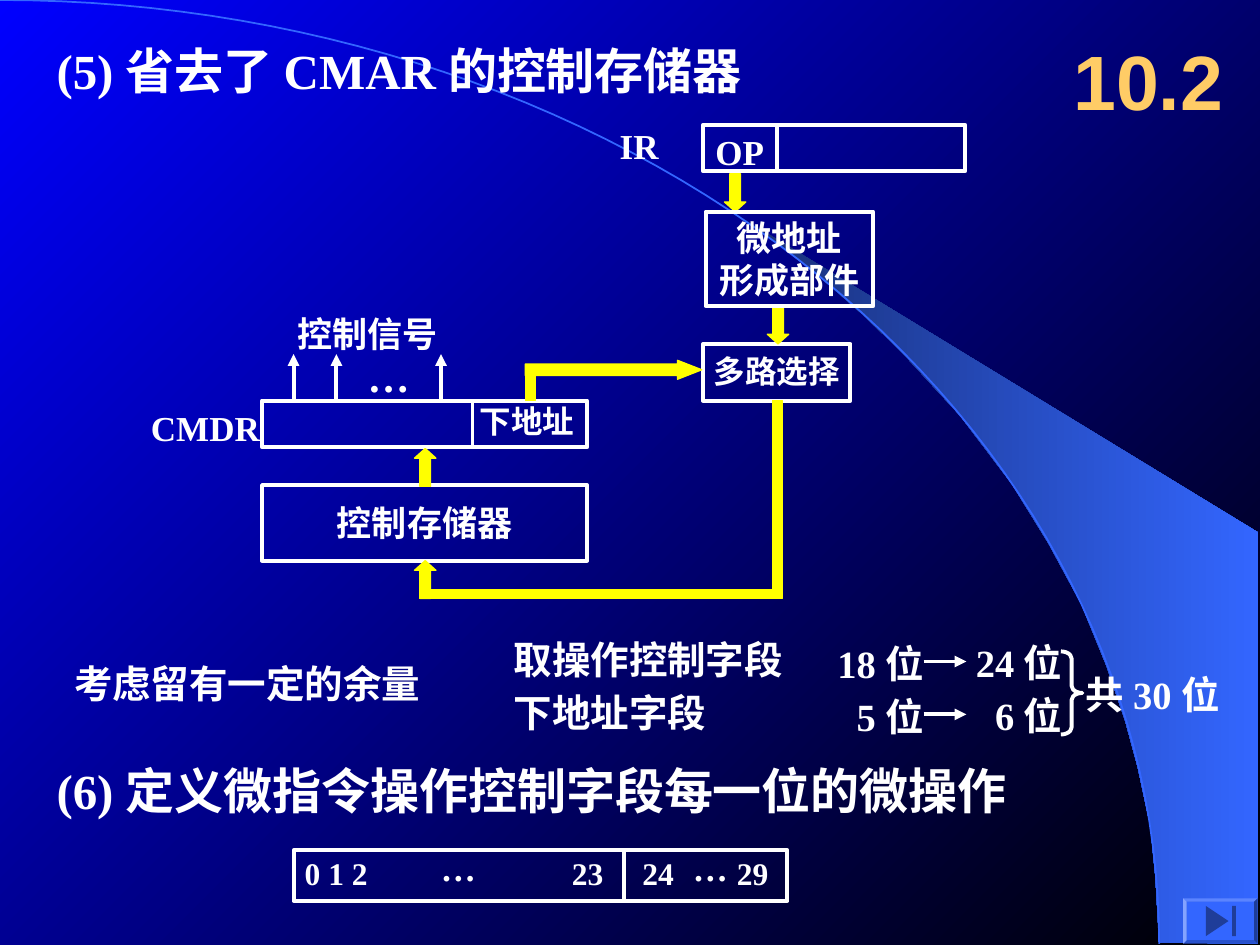
import dataclasses
import math

import lxml.etree
import pptx
import pptx.dml.color
import pptx.enum.shapes
import pptx.enum.text
import pptx.oxml.ns
import pptx.util

Inches = pptx.util.Inches
Pt = pptx.util.Pt
SHAPE = pptx.enum.shapes.MSO_SHAPE
ALIGN = pptx.enum.text.PP_ALIGN
ANCHOR = pptx.enum.text.MSO_ANCHOR
WHITE, YELLOW, BLUE, ORANGE = "FFFFFF", "FFFF00", "3366FF", "FFCC66"


def rgb(hex_color):
    """Turn a hex string into a colour."""
    return pptx.dml.color.RGBColor.from_string(hex_color)


def shade(fill, start, end, angle):
    """Give a fill a two-colour linear gradient."""
    fill.gradient()
    fill.gradient_angle = angle
    for stop, color in zip(fill.gradient_stops, (start, end)):
        stop.color.rgb = rgb(color)


def write(frame, lines, size, align, color, font, anchor, inset):
    """Write one run per line into a text frame."""
    frame.word_wrap = False
    frame.vertical_anchor = anchor
    frame.margin_left = frame.margin_right = Inches(0.1)
    frame.margin_top, frame.margin_bottom = Inches(inset), Inches(0.05)
    for index, line in enumerate(lines.split("\n")):
        paragraph = frame.add_paragraph() if index else frame.paragraphs[0]
        paragraph.alignment = align
        run = paragraph.add_run()
        run.text = line
        run.font.size, run.font.bold, run.font.name = Pt(size), True, font
        run.font.color.rgb = rgb(color)


@dataclasses.dataclass
class Region:
    """A part of the slide whose contents are placed from its top left corner."""

    shapes: object
    left: float
    top: float

    def place(self, x, y):
        """Return the slide position of a point in the region."""
        return Inches(self.left + x), Inches(self.top + y)

    def label(self, x, y, width, height, words, size, align=ALIGN.LEFT,
              color=WHITE, font="Times New Roman", anchor=ANCHOR.TOP, inset=0.05):
        """Add a text box."""
        box = self.shapes.add_textbox(*self.place(x, y), Inches(width), Inches(height))
        write(box.text_frame, words, size, align, color, font, anchor, inset)

    def shape(self, kind, x, y, width, height, fill=None, line=None,
              weight=2.25, adjust=()):
        """Add a preset shape."""
        shape = self.shapes.add_shape(kind, *self.place(x, y), Inches(width), Inches(height))
        shape.shadow.inherit = False
        for index, value in enumerate(adjust):
            shape.adjustments[index] = value
        if fill:
            shape.fill.solid()
            shape.fill.fore_color.rgb = rgb(fill)
        else:
            shape.fill.background()
        if line:
            shape.line.color.rgb = rgb(line)
            shape.line.width = Pt(weight)
        else:
            shape.line.fill.background()
        return shape

    def frame(self, x, y, width, height, words="", size=20, inset=0.05):
        """Add a white outlined box with centred words."""
        box = self.shape(SHAPE.RECTANGLE, x, y, width, height, line=WHITE)
        if words:
            write(box.text_frame, words, size, ALIGN.CENTER, WHITE,
                  "Times New Roman", ANCHOR.MIDDLE, inset)

    def flow(self, kind, x, y, width, height, adjust=()):
        """Add a yellow piece of the data path."""
        self.shape(kind, x, y, width, height, YELLOW, YELLOW, 0.75, adjust)

    def line(self, x1, y1, x2, y2, arrow=False):
        """Add a white line, with an arrowhead at its end if asked."""
        line = self.shapes.add_connector(
            pptx.enum.shapes.MSO_CONNECTOR.STRAIGHT, *self.place(x1, y1), *self.place(x2, y2))
        line.line.color.rgb, line.line.width = rgb(WHITE), Pt(2.25)
        properties = line._element.spPr
        if arrow:
            lxml.etree.SubElement(line.line._get_or_add_ln(),
                                  pptx.oxml.ns.qn("a:tailEnd"), type="triangle")
        lxml.etree.SubElement(properties, pptx.oxml.ns.qn("a:effectLst"))

    def outline(self, points, close):
        """Add a freeform through the points."""
        corners = [self.place(x, y) for x, y in points]
        builder = self.shapes.build_freeform(*corners[0])
        builder.add_line_segments(corners[1:], close=close)
        outline = builder.convert_to_shape()
        outline.shadow.inherit = False
        return outline


def add_backdrop(slide, left, top, width, height):
    """Draw the gradient, the light beam and the arc."""
    shade(slide.background.fill, "0000FF", "000000", 315)
    region = Region(slide.shapes, left, top)
    beam = region.outline(
        [(9.2, 7.48), (9.99, 7.49), (9.99, 4.23), (5.89, 1.73), (6.24, 1.99),
         (6.53, 2.22), (6.85, 2.5), (7.16, 2.8), (7.62, 3.3), (8.03, 3.84),
         (8.32, 4.31), (8.58, 4.79), (8.78, 5.28), (8.93, 5.72), (9.03, 6.09),
         (9.13, 6.56), (9.17, 6.96)], True)
    shade(beam.fill, "182F76", BLUE, 0)
    beam.line.fill.background()
    angles = [math.pi / 2 * step / 60 for step in range(61)]
    arc = region.outline([(width * math.sin(a), height * (1 - math.cos(a)))
                          for a in angles], False)
    arc.fill.background()
    arc.line.color.rgb, arc.line.width = rgb(BLUE), Pt(1)


def add_headings(slide, left, top):
    """Write the section number and the two headings."""
    region = Region(slide.shapes, left, top)
    region.label(0, 0.1, 6.65, 0.57, "(5) 省去了 CMAR 的控制存储器", 28)
    region.label(0, 5.82, 8.48, 0.57, "(6) 定义微指令操作控制字段每一位的微操作", 28)
    region.label(8.07, 0, 1.58, 0.92, "10.2", 44, color=ORANGE, font="Arial",
                 anchor=ANCHOR.MIDDLE)


def add_control_store(slide, left, top):
    """Draw the control store with its registers and data path."""
    region = Region(slide.shapes, left, top)
    region.label(3.72, 0, 0.6, 0.44, "IR", 20)
    region.frame(4.48, 0.05, 2.08, 0.37)
    region.label(4.48, 0.05, 0.7, 0.44, "OP", 20)
    region.line(5.07, 0.05, 5.07, 0.42)
    region.frame(4.48, 1.79, 1.17, 0.45, "多路选择", 18, 0.02)
    region.label(0, 2.24, 1.2, 0.44, "CMDR", 20)
    region.label(2.61, 2.23, 1.05, 0.37, "下地址", 18, inset=0.02)
    region.frame(0.98, 2.24, 2.58, 0.37)
    region.line(2.65, 2.24, 2.65, 2.62)
    region.frame(0.98, 2.91, 2.58, 0.6, "控制存储器")
    region.label(1.16, 1.49, 1.4, 0.44, "控制信号", 20)
    for x in (1.23, 1.57, 2.4):
        region.line(x, 2.24, x, 1.87, arrow=True)
    region.label(1.72, 1.79, 0.6, 0.5, "…", 24)
    for kind, x, y in ((SHAPE.UP_ARROW, 2.19, 2.62), (SHAPE.UP_ARROW, 2.19, 3.51),
                       (SHAPE.DOWN_ARROW, 4.99, 1.49), (SHAPE.DOWN_ARROW, 4.65, 0.44)):
        region.flow(kind, x, y, 0.17, 0.3, (0.5, 0.45))
    for bar in ((2.23, 3.74, 2.83, 0.07), (5.03, 2.24, 0.08, 1.57), (3.07, 1.97, 0.08, 0.27)):
        region.flow(SHAPE.RECTANGLE, *bar)
    region.flow(SHAPE.RIGHT_ARROW, 3.07, 1.92, 1.4, 0.15, (0.61, 1.28))
    region.frame(4.5, 0.74, 1.33, 0.75, "微地址\n形成部件")


def add_field_widths(slide, left, top):
    """Write the field widths before and after the margin is added."""
    region = Region(slide.shapes, left, top)
    region.label(0, 0.19, 3.67, 0.47, "考虑留有一定的余量", 22)
    rows = (("取操作控制字段", "18 位", "24 位"), ("下地址字段", "5 位", "6 位"))
    for index, (field, needed, reserved) in enumerate(rows):
        y = 0.42 * index
        region.label(3.49, y, 2.5, 0.47, field, 22)
        region.label(5.89, y + 0.03, 1.05, 0.47, needed, 22, ALIGN.RIGHT)
        region.label(6.99, y + 0.02, 1.05, 0.47, reserved, 22, ALIGN.RIGHT)
        region.line(6.84, y + 0.25, 7.18, y + 0.25, arrow=True)
    region.shape(SHAPE.RIGHT_BRACE, 7.93, 0.17, 0.17, 0.66, line=WHITE, adjust=(0.33, 0.5))
    region.label(8.03, 0.28, 1.48, 0.47, "共 30 位", 22)


def add_bit_layout(slide, left, top, width, height):
    """Draw the numbered bits of the microinstruction."""
    region = Region(slide.shapes, left, top)
    region.frame(0, 0, width, height)
    region.line(2.62, 0, 2.62, height)
    for x, span, bits in ((-0.01, 0.8, "0 1 2"), (2.11, 0.5, "23"),
                          (2.67, 0.5, "24"), (3.42, 0.5, "29")):
        region.label(x, -0.02, span, 0.4, bits, 18)
    for x in (1.07, 3.07):
        region.label(x, -0.08, 0.5, 0.44, "…", 20)


def add_end_button(slide, left, top, width, height):
    """Draw the bevelled button that goes to the end."""
    region = Region(slide.shapes, left, top)
    region.shape(SHAPE.BEVEL, 0, 0, width, height, BLUE, adjust=(0.075,))
    play = region.shape(SHAPE.ISOSCELES_TRIANGLE, 0.15, 0.09, 0.24, 0.18, "1F3D99")
    play.rotation = 90
    region.shape(SHAPE.RECTANGLE, 0.39, 0.06, 0.03, 0.24, "1F3D99")


def main():
    """Build the slide and save it."""
    deck = pptx.Presentation()
    deck.slide_width, deck.slide_height = Inches(10), Inches(7.5)
    slide = deck.slides.add_slide(deck.slide_layouts[6])
    add_backdrop(slide, 0, 0, 9.2, 7.49)
    add_field_widths(slide, 0.49, 5)
    add_bit_layout(slide, 2.33, 6.75, 3.92, 0.4)
    add_control_store(slide, 1.1, 0.94)
    add_headings(slide, 0.35, 0.17)
    add_end_button(slide, 9.39, 7.13, 0.59, 0.36)
    deck.save("out.pptx")


if __name__ == "__main__":
    main()
